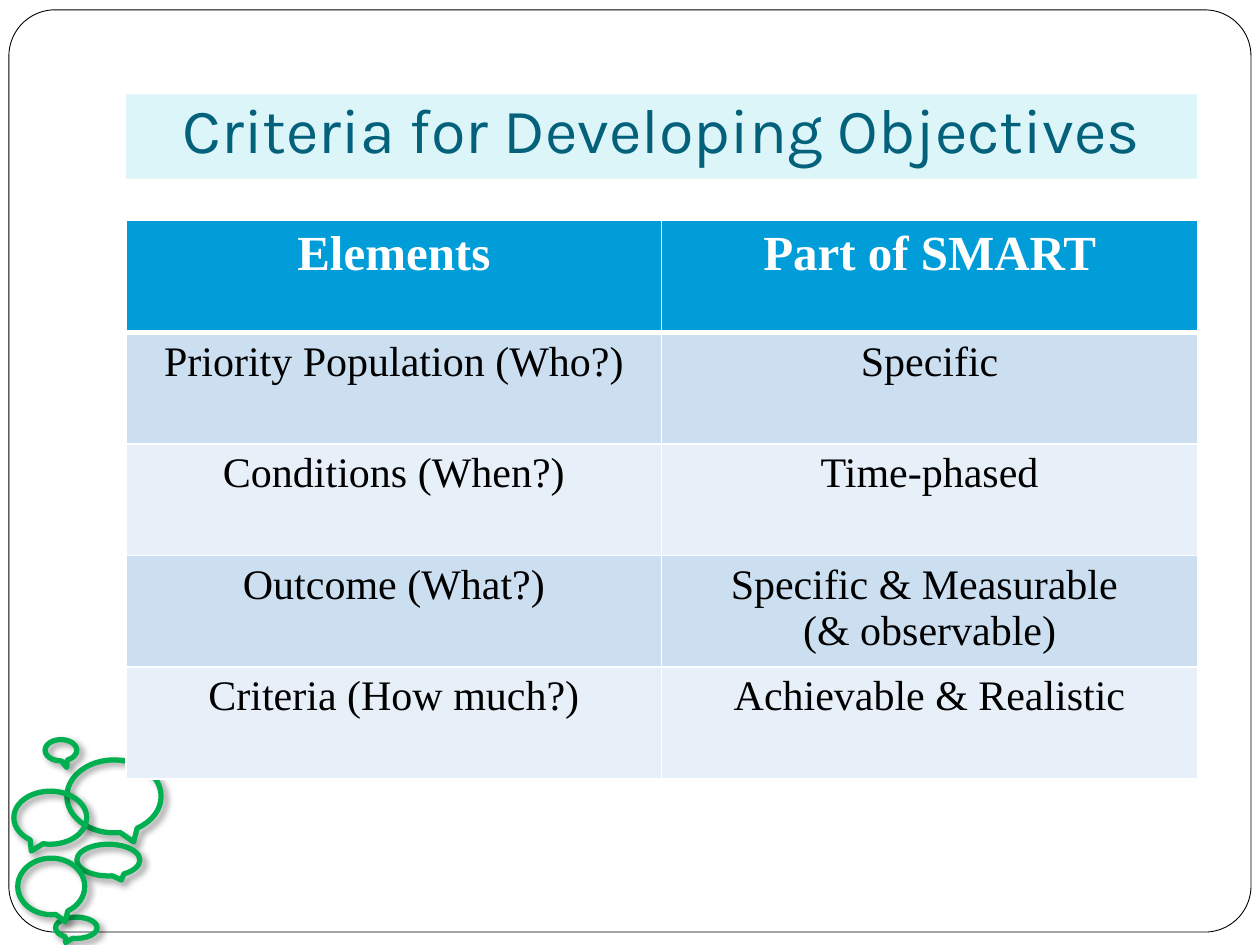
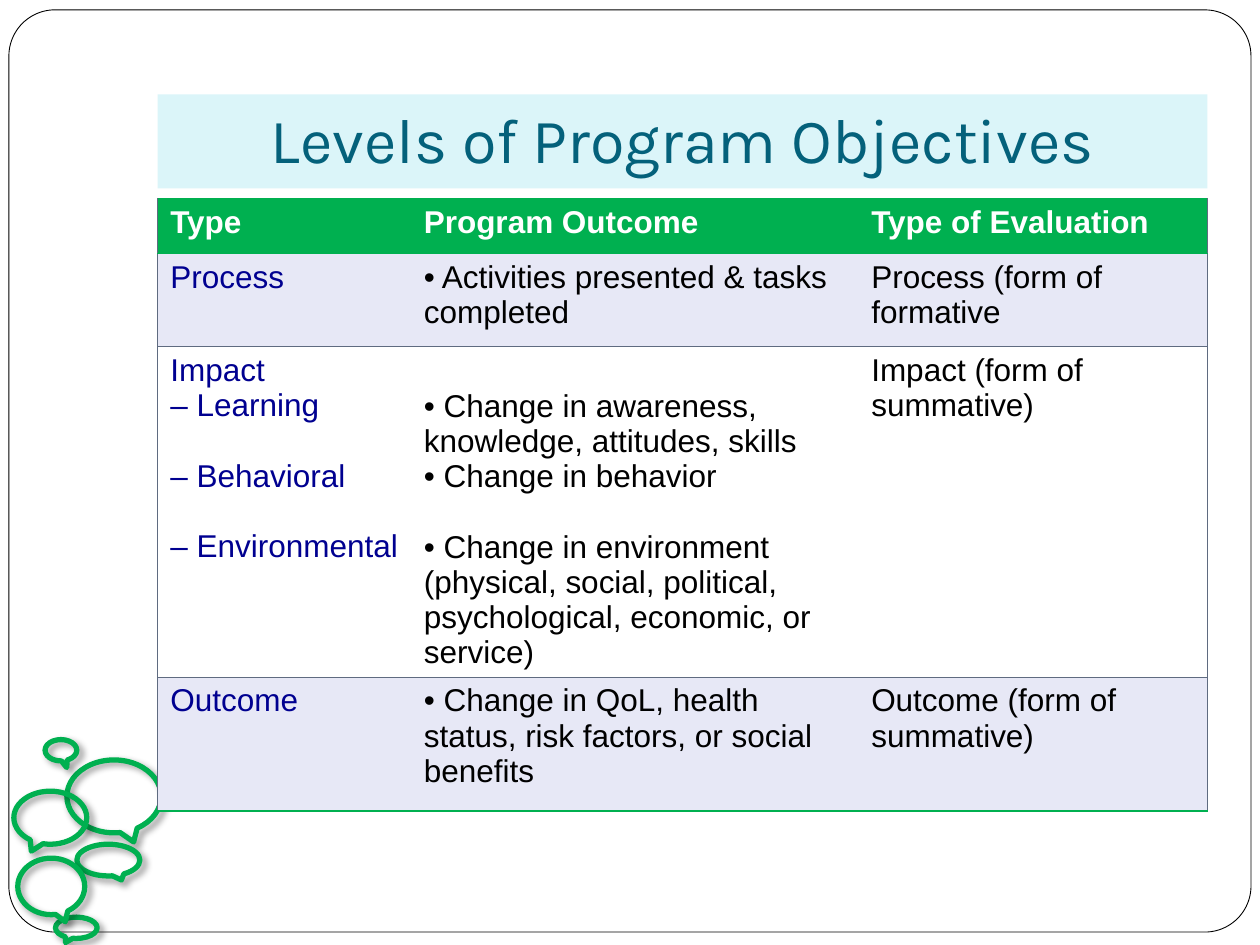
from lxml.etree import SubElement
from pptx import Presentation
from pptx.dml.color import RGBColor
from pptx.enum.shapes import MSO_SHAPE
from pptx.enum.text import MSO_ANCHOR, MSO_AUTO_SIZE, PP_ALIGN
from pptx.oxml.ns import qn
from pptx.util import Cm, Pt

GREEN, WHITE, BLACK, GREY = "00B050", "FFFFFF", "000000", "5F6B80"
BUBBLES = [
    (1.35, 15.32, 1.9, 1.47, None),
    (1.55, 17.02, 1.27, 0.64, None),
    (0.28, 15.95, 1.47, 1.07, (0.26, 0.63)),
    (1.12, 18.49, 0.84, 0.43, (0.26, 0.69)),
    (0.36, 17.3, 1.35, 1.14, None),
    (0.91, 14.91, 0.64, 0.43, (-0.18, 0.81)),
]

CRITERIA = [
    ["Elements", "Part of SMART"],
    ["Priority Population (Who?)", "Specific"],
    ["Conditions (When?)", "Time-phased"],
    ["Outcome (What?)", "Specific & Measurable \n(& observable)"],
    ["Criteria (How much?)", "Achievable & Realistic"],
]
CRITERIA_STYLE = {
    "font": "Times New Roman", "head_size": 28, "size": 24, "align": PP_ALIGN.CENTER,
    "head": "009DD9", "bands": ["CCDFF1", "E7EFF8"], "first_col": BLACK,
    "h_rules": [(WHITE, 1), (WHITE, 3)] + [(WHITE, 1)] * 4,
    "v_rules": [(WHITE, 1)] * 3,
}

LEVELS = [
    ["Type", "Program Outcome", "Type of Evaluation"],
    ["Process", "• Activities presented & tasks completed", "Process (form of formative"],
    ["Impact\n– Learning\n\n– Behavioral\n\n– Environmental",
     "\n• Change in awareness, knowledge, attitudes, skills\n• Change in behavior\n\n"
     "• Change in environment (physical, social, political, psychological, economic, or service)",
     "Impact (form of summative)"],
    ["Outcome", "• Change in QoL, health status, risk factors, or social benefits",
     "Outcome (form of summative)"],
]
LEVELS_STYLE = {
    "font": "Arial", "head_size": 18, "size": 18, "align": PP_ALIGN.LEFT,
    "head": GREEN, "bands": ["E7E8F6", WHITE], "first_col": "000090",
    "h_rules": [(GREEN, 1), (GREEN, 1), (GREY, 0.5), (GREY, 0.5), (GREEN, 1)],
    "v_rules": [(GREY, 0.5), None, None, (GREY, 0.5)],
}


def rgb(value):
    return RGBColor.from_string(value)


def assign(obj, values):
    for name, value in values.items():
        setattr(obj, name, value)


class Deck:
    """Holds the shared style and the current slide."""

    title_font = {"name": "Karla", "size": Pt(36)}
    title_colour, title_fill = "04617B", "DBF5F9"

    def __init__(self):
        self.prs = Presentation()
        assign(self.prs, {"slide_width": Cm(25.4), "slide_height": Cm(19.05)})

    def slide(self, title, box):
        self.s = self.prs.slides.add_slide(self.prs.slide_layouts[5])
        self.frame()
        self.bubbles()
        self.title(title, box)

    def frame(self):
        sp = self.s.shapes.add_shape(
            MSO_SHAPE.ROUNDED_RECTANGLE, Cm(0.18), Cm(0.2), Cm(25.04), Cm(18.59))
        sp.adjustments[0] = 0.05
        sp.shadow.inherit = False
        self.fill(sp, WHITE)
        self.line(sp, BLACK, 0.5)

    def bubbles(self):
        group = self.s.shapes.add_group_shape()
        for *box, tail in BUBBLES:
            sp = group.shapes.add_shape(MSO_SHAPE.OVAL_CALLOUT, *map(Cm, box))
            for i, value in enumerate(tail or ()):
                sp.adjustments[i] = value
            sp.fill.background()
            self.line(sp, GREEN, 3)
            sp._element.spPr.find(qn("a:xfrm")).set("flipH", "1")
            self.shadow(sp)

    def title(self, text, box):
        sp = self.s.shapes.title
        self.s.shapes._spTree.append(sp._element)
        assign(sp, dict(zip(("left", "top", "width", "height"), map(Cm, box))))
        self.fill(sp, self.title_fill)
        tf = sp.text_frame
        assign(tf, {"vertical_anchor": MSO_ANCHOR.BOTTOM, "auto_size": MSO_AUTO_SIZE.NONE,
                    "word_wrap": True, "margin_left": Cm(0.25), "margin_right": Cm(0.25),
                    "margin_top": Cm(0.13), "margin_bottom": Cm(0.25)})
        p = tf.paragraphs[0]
        p.alignment = PP_ALIGN.CENTER
        self.run(p, text, self.title_font, self.title_colour)

    def table(self, rows, left, top, widths, heights, style):
        tbl = self.s.shapes.add_table(
            len(rows), len(widths), Cm(left), Cm(top), Cm(sum(widths)), Cm(sum(heights))).table
        for col, width in zip(tbl.columns, widths):
            col.width = Cm(width)
        for row, height in zip(tbl.rows, heights):
            row.height = Cm(height)
        h, v = style["h_rules"], style["v_rules"]
        for i, row in enumerate(rows):
            for j, text in enumerate(row):
                cell = tbl.cell(i, j)
                self.borders(cell, {"L": v[j], "R": v[j + 1], "T": h[i], "B": h[i + 1]})
                self.fill(cell, style["bands"][(i - 1) % 2] if i else style["head"])
                self.cell_text(cell, text, style, i == 0, j == 0)

    def cell_text(self, cell, text, style, head, first):
        size = style["head_size"] if head else style["size"]
        colour = WHITE if head else style["first_col"] if first else BLACK
        font = {"name": style["font"], "size": Pt(size), "bold": head}
        gap = Pt(size * 1.12)
        lines = text.split("\n")
        if not lines[0]:
            cell.margin_top = Cm(0.13) + gap
            lines = lines[1:]
        tf = cell.text_frame
        for i, line in enumerate(lines):
            if not line:
                continue
            p = tf.add_paragraph() if i else tf.paragraphs[0]
            p.alignment = style["align"]
            if i and not lines[i - 1]:
                p.space_before = gap
            self.run(p, line, font, colour)

    def run(self, p, text, font, colour):
        r = p.add_run()
        r.text = text
        assign(r.font, font)
        r.font.color.rgb = rgb(colour)

    def fill(self, obj, colour):
        obj.fill.solid()
        obj.fill.fore_color.rgb = rgb(colour)

    def line(self, sp, colour, width):
        sp.line.color.rgb = rgb(colour)
        sp.line.width = Pt(width)

    def shadow(self, sp):
        effects = SubElement(sp._element.spPr, qn("a:effectLst"))
        outer = SubElement(effects, qn("a:outerShdw"), blurRad=str(Pt(4)), dist=str(Pt(3)),
                           dir=str(45 * 60000), algn="tl", rotWithShape="0")
        colour = SubElement(outer, qn("a:srgbClr"), val=BLACK)
        SubElement(colour, qn("a:alpha"), val="40000")

    def borders(self, cell, rules):
        tc_pr = cell._tc.get_or_add_tcPr()
        for side, rule in rules.items():
            ln = SubElement(tc_pr, qn(f"a:ln{side}"))
            if rule:
                colour, width = rule
                ln.set("w", str(Pt(width)))
                SubElement(SubElement(ln, qn("a:solidFill")), qn("a:srgbClr"), val=colour)
            else:
                SubElement(ln, qn("a:noFill"))


def main():
    deck = Deck()
    deck.slide("Criteria for Developing Objectives", (2.54, 1.9, 21.59, 1.7))
    deck.table(CRITERIA, 2.54, 4.45, [10.8] * 2, [2.25] * 5, CRITERIA_STYLE)
    deck.slide("Levels of Program Objectives", (3.18, 1.9, 21.16, 1.9))
    deck.table(LEVELS, 3.18, 4.01, [5.11, 9.02, 7.03], [1.1, 1.88, 6.65, 2.7], LEVELS_STYLE)
    deck.prs.save("out.pptx")


if __name__ == "__main__":
    main()
